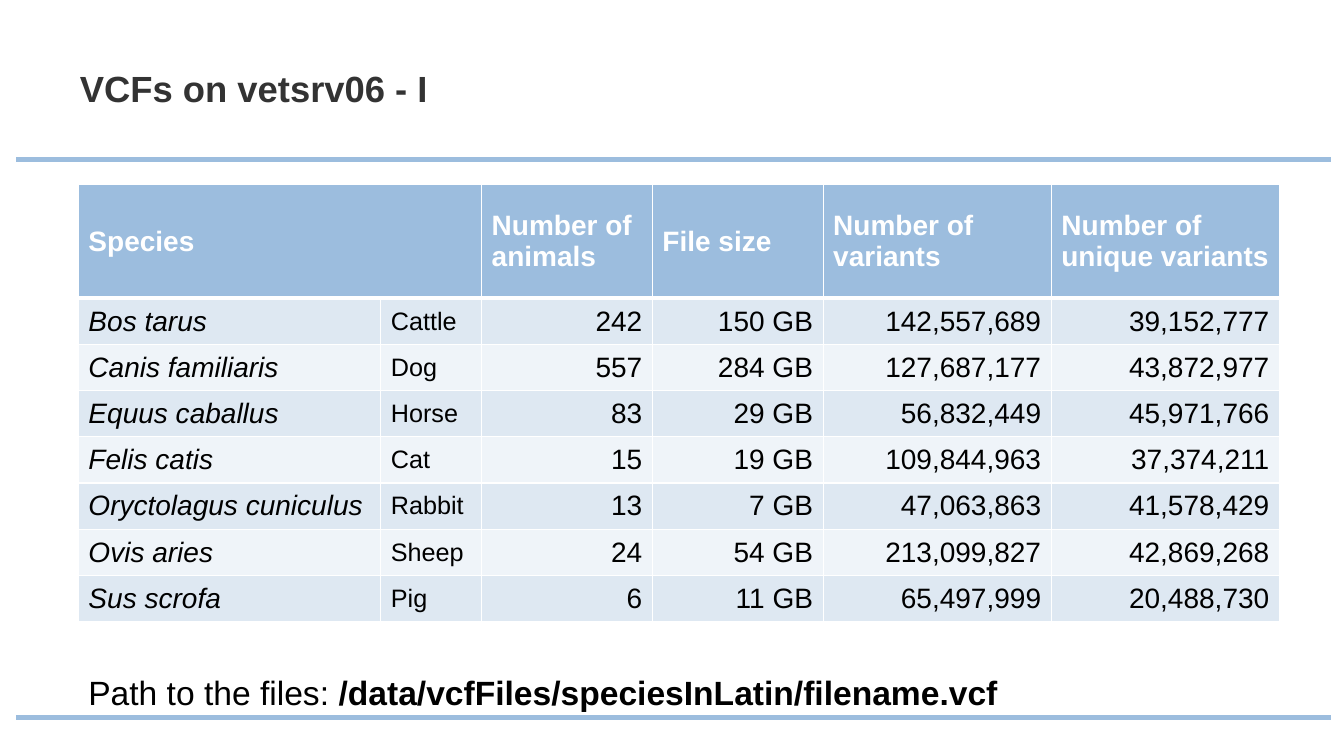
from dataclasses import dataclass

from lxml import etree
from pptx import Presentation
from pptx.dml.color import RGBColor
from pptx.enum import shapes, text
from pptx.oxml import ns
from pptx.util import Pt

TITLE = "VCFs on vetsrv06 - I"
HEADER = ["Species", "", "Number of animals", "File size",
          "Number of variants", "Number of unique variants"]
SPECIES = [
    ("Bos tarus", "Cattle", "242", "150 GB", "142,557,689", "39,152,777"),
    ("Canis familiaris", "Dog", "557", "284 GB", "127,687,177", "43,872,977"),
    ("Equus caballus", "Horse", "83", "29 GB", "56,832,449", "45,971,766"),
    ("Felis catis", "Cat", "15", "19 GB", "109,844,963", "37,374,211"),
    ("Oryctolagus cuniculus", "Rabbit", "13", "7 GB", "47,063,863", "41,578,429"),
    ("Ovis aries", "Sheep", "24", "54 GB", "213,099,827", "42,869,268"),
    ("Sus scrofa", "Pig", "6", "11 GB", "65,497,999", "20,488,730"),
]
PATH_LABEL = "Path to the files: "
FILE_PATTERN = "/data/vcfFiles/speciesInLatin/filename.vcf"

COL_WIDTHS = [216, 72, 122, 122, 163, 163]
HEADER_HEIGHT, ROW_HEIGHT = 81, 33
TABLE_LEFT, TABLE_TOP = 56, 132
RULE_LEFT, RULE_RIGHT = 11.5, 950.5
RULE_YS = [114, 512.5]


@dataclass(frozen=True)
class Theme:
    font: str = "Arial"
    accent: str = "9CBDDE"
    bands: tuple = ("DEE8F2", "EFF4F9")
    title: str = "333333"
    body: str = "000000"
    white: str = "FFFFFF"
    title_size: int = 26
    path_size: int = 24
    cell_size: int = 20
    name_size: int = 18
    rule_width: int = 3


THEME = Theme()


def style(r, size, color, bold=False, italic=False):
    r.font.name = THEME.font
    r.font.size = Pt(size)
    r.font.bold = bold
    r.font.italic = italic
    r.font.color.rgb = RGBColor.from_string(color)


def add_rule(s, y):
    line = s.shapes.add_connector(shapes.MSO_CONNECTOR.STRAIGHT,
                                  Pt(RULE_LEFT), Pt(y), Pt(RULE_RIGHT), Pt(y))
    line.line.color.rgb = RGBColor.from_string(THEME.accent)
    line.line.width = Pt(THEME.rule_width)
    etree.SubElement(line._element.spPr, ns.qn("a:effectLst"))


def set_borders(cell, top, bottom):
    tcPr = cell._tc.get_or_add_tcPr()
    widths = {"lnL": 1, "lnR": 1, "lnT": top, "lnB": bottom}
    for i, (side, width) in enumerate(widths.items()):
        ln = etree.Element(ns.qn("a:" + side), w=str(Pt(width)))
        fill = etree.SubElement(ln, ns.qn("a:solidFill"))
        etree.SubElement(fill, ns.qn("a:srgbClr"), val=THEME.white)
        tcPr.insert(i, ln)


def fill_cell(cell, value, row, col):
    header = row == 0
    cell.fill.solid()
    color = THEME.accent if header else THEME.bands[(row - 1) % 2]
    cell.fill.fore_color.rgb = RGBColor.from_string(color)
    cell.vertical_anchor = text.MSO_ANCHOR.MIDDLE
    set_borders(cell, 3 if row == 1 else 1, 3 if header else 1)
    if not value:
        return
    cell.text_frame.text = value
    p = cell.text_frame.paragraphs[0]
    numeric = not header and col > 1
    p.alignment = text.PP_ALIGN.RIGHT if numeric else text.PP_ALIGN.LEFT
    size = THEME.name_size if not header and col == 1 else THEME.cell_size
    style(p.runs[0], size, THEME.white if header else THEME.body,
          bold=header, italic=not header and col == 0)


def add_title(s):
    sp = s.shapes.title
    sp.left, sp.top, sp.width, sp.height = Pt(57), Pt(51), Pt(695.5), Pt(64)
    tf = sp.text_frame
    tf.text = TITLE
    tf.word_wrap = True
    tf.auto_size = text.MSO_AUTO_SIZE.NONE
    tf.vertical_anchor = text.MSO_ANCHOR.TOP
    tf.margin_left = tf.margin_right = tf.margin_top = tf.margin_bottom = 0
    p = tf.paragraphs[0]
    p.alignment = text.PP_ALIGN.LEFT
    p.line_spacing = 0.9
    style(p.runs[0], THEME.title_size, THEME.title, bold=True)


def add_species_table(s):
    rows = [HEADER, *SPECIES]
    height = HEADER_HEIGHT + ROW_HEIGHT * len(SPECIES)
    table = s.shapes.add_table(len(rows), len(HEADER), Pt(TABLE_LEFT), Pt(TABLE_TOP),
                               Pt(sum(COL_WIDTHS)), Pt(height)).table
    table.horz_banding = False
    for column, width in zip(table.columns, COL_WIDTHS):
        column.width = Pt(width)
    for i, values in enumerate(rows):
        table.rows[i].height = Pt(ROW_HEIGHT if i else HEADER_HEIGHT)
        for j, value in enumerate(values):
            fill_cell(table.cell(i, j), value, i, j)
    table.cell(0, 0).merge(table.cell(0, 1))


def add_path(s):
    tf = s.shapes.add_textbox(Pt(TABLE_LEFT), Pt(476.5), Pt(670.5), Pt(36)).text_frame
    tf.word_wrap = False
    tf.auto_size = text.MSO_AUTO_SIZE.SHAPE_TO_FIT_TEXT
    p = tf.paragraphs[0]
    for value, bold in [(PATH_LABEL, False), (FILE_PATTERN, True)]:
        r = p.add_run()
        r.text = value
        style(r, THEME.path_size, THEME.body, bold=bold)


def main():
    prs = Presentation()
    prs.slide_width, prs.slide_height = Pt(960), Pt(540)
    s = prs.slides.add_slide(prs.slide_layouts[5])
    for y in RULE_YS:
        add_rule(s, y)
    add_title(s)
    add_species_table(s)
    add_path(s)
    prs.save("out.pptx")


if __name__ == "__main__":
    main()
